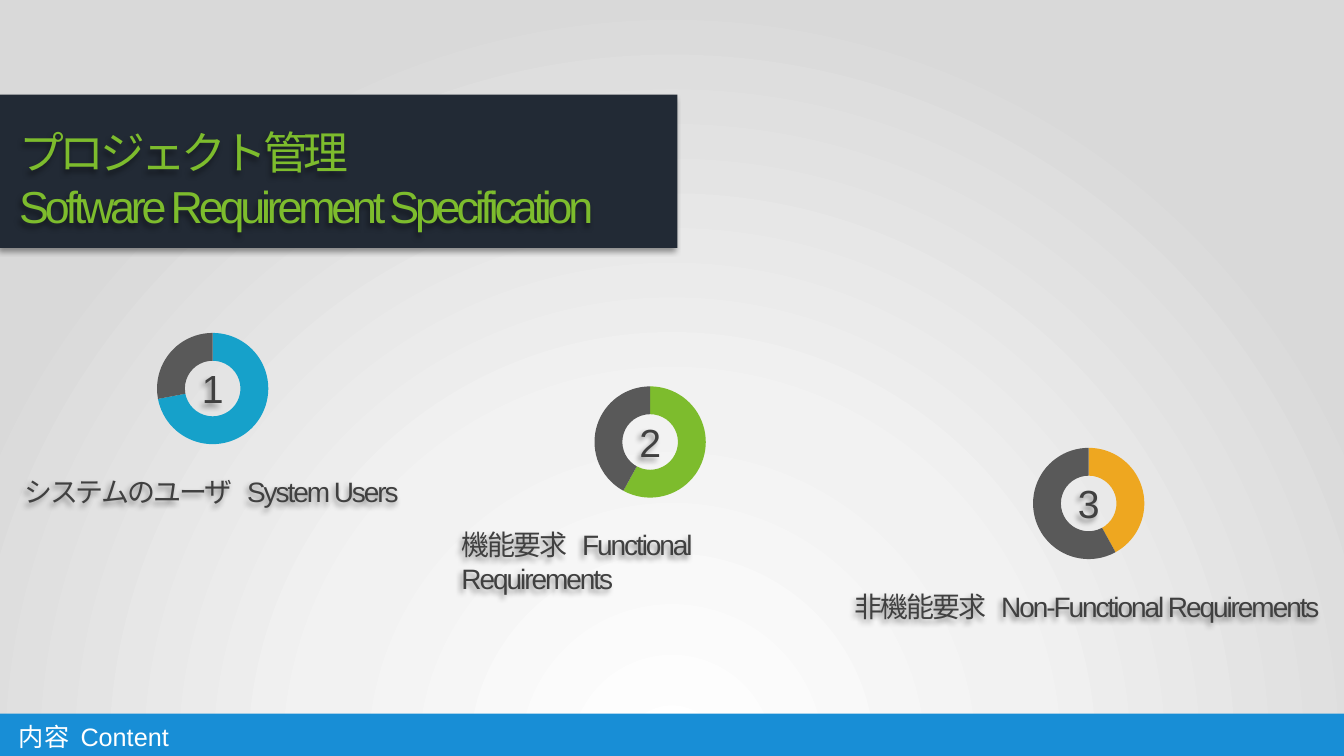
from dataclasses import dataclass
from lxml.etree import SubElement
from pptx import Presentation
from pptx.chart.data import CategoryChartData as ChartData
from pptx.dml.color import RGBColor as Rgb
from pptx.enum.chart import XL_CHART_TYPE as ChartType
from pptx.enum.shapes import MSO_SHAPE as Preset
from pptx.enum.text import MSO_ANCHOR as Anchor, MSO_AUTO_SIZE as AutoSize, PP_ALIGN as Align
from pptx.oxml import parse_xml
from pptx.oxml.ns import nsdecls, qn
from pptx.util import Inches, Pt


@dataclass(frozen=True)
class Theme:
    face: str = "Arial"
    chart_face: str = "Calibri"
    band: str = "222A35"
    bar: str = "188ED6"
    green: str = "7DBC2D"
    blue: str = "16A1CA"
    amber: str = "EEA720"
    rest: str = "595959"
    ink: str = "404040"
    black: str = "000000"
    white: str = "FFFFFF"
    backdrop: tuple = ((0, "FFFFFF"), (46, "F2F2F2"), (100, "D9D9D9"))
    title_size: int = 32
    number_size: int = 28
    label_size: int = 20
    footer_size: int = 18
    chart_size: int = 10


class RequirementSlide:
    """Draws styled elements on one slide, placed on a grid of 100 columns by 100 rows."""

    def __init__(self, deck, theme):
        self.theme = theme
        self.column = deck.slide_width / 100
        self.row = deck.slide_height / 100
        self.slide = deck.slides.add_slide(deck.slide_layouts[5])
        self.shapes = self.slide.shapes

    def place(self, left, top, width, height):
        return (round(left * self.column), round(top * self.row),
                round(width * self.column), round(height * self.row))

    def backdrop(self):
        self.slide.background.fill.solid()
        solid = next(self.slide.element.iter(qn("a:solidFill")))
        stops = "".join(f'<a:gs pos="{share * 1000}"><a:srgbClr val="{color}"/></a:gs>'
                        for share, color in self.theme.backdrop)
        gradient = parse_xml(
            f'<a:gradFill {nsdecls("a")} rotWithShape="1"><a:gsLst>{stops}</a:gsLst>'
            '<a:path path="circle"><a:fillToRect l="50000" t="130000" r="50000" b="-30000"/>'
            '</a:path></a:gradFill>')
        solid.getparent().replace(solid, gradient)

    def cast_shadow(self, shape):
        shape.shadow.inherit = False
        effects = shape.element.spPr.find(qn("a:effectLst"))
        outer = SubElement(effects, qn("a:outerShdw"), blurRad=str(Pt(4)), dist=str(Pt(3)),
                           dir=str(135 * 60000), algn="tl", rotWithShape="0")
        color = SubElement(outer, qn("a:srgbClr"), val=self.theme.black)
        SubElement(color, qn("a:alpha"), val="40000")

    def panel(self, area, color, shadow=False):
        panel = self.shapes.add_shape(Preset.RECTANGLE, *self.place(*area))
        panel.fill.solid()
        panel.fill.fore_color.rgb = Rgb.from_string(color)
        panel.line.fill.background()
        panel.shadow.inherit = False
        if shadow:
            self.cast_shadow(panel)

    def format(self, paragraph, size, color, spacing, align=Align.LEFT):
        paragraph.alignment = align
        font = paragraph.font
        font.size, font.name = Pt(size), self.theme.face
        font.color.rgb = Rgb.from_string(color)
        paragraph._p.pPr.find(qn("a:defRPr")).set("spc", str(round(spacing * 100)))

    def title(self, area, lines):
        title = self.shapes.title
        title.left, title.top, title.width, title.height = self.place(*area)
        self.shapes._spTree.append(title.element)
        frame = title.text_frame
        frame.text = "\n".join(lines)
        frame.word_wrap, frame.auto_size = True, AutoSize.SHAPE_TO_FIT_TEXT
        frame.vertical_anchor = Anchor.TOP
        for line in frame.paragraphs:
            self.format(line, self.theme.title_size, self.theme.green, -3)
        self.cast_shadow(title)

    def text(self, area, words, size, color, spacing=0, gap=0, align=Align.LEFT, shadow=True):
        box = self.shapes.add_textbox(*self.place(*area))
        frame = box.text_frame
        frame.word_wrap, frame.auto_size = True, AutoSize.SHAPE_TO_FIT_TEXT
        line = frame.paragraphs[0]
        for index, word in enumerate(words):
            if index:
                space = line.add_run()
                space.text = " "
                space._r.get_or_add_rPr().set("spc", str(gap * 100))
            line.add_run().text = word
        self.format(line, size, color, spacing, align)
        if shadow:
            self.cast_shadow(box)

    def ring(self, area, share, color):
        data = ChartData()
        data.categories = ["1", "2"]
        data.add_series("Series 1", (share, 100 - share))
        chart = self.shapes.add_chart(ChartType.DOUGHNUT, *self.place(*area), data).chart
        chart.has_title = chart.has_legend = False
        chart.font.size, chart.font.name = Pt(self.theme.chart_size), self.theme.chart_face
        chart.font.color.rgb = Rgb.from_string(self.theme.black)
        plot = chart.plots[0]
        plot.vary_by_categories = True
        plot._element.find(qn("c:holeSize")).set("val", "75")
        for index, part_color in enumerate((color, self.theme.rest)):
            part = plot.series[0].points[index].format
            part.fill.solid()
            part.fill.fore_color.rgb = Rgb.from_string(part_color)
            part.line.fill.background()

    def topic(self, number, left, top, share, color, label_left, label_width, words):
        theme = self.theme
        self.ring((left, top, 10.35, 21.2), share, color)
        self.text((left + 1.7, top + 6.8, 6.95, 7.6), [str(number)],
                  theme.number_size, theme.ink, -1.5, align=Align.CENTER)
        self.text((label_left, top + 21.3, label_width, 5.87), words,
                  theme.label_size, theme.ink, -1.5, gap=6)


def main():
    deck = Presentation()
    deck.slide_width, deck.slide_height = Inches(13.33), Inches(7.5)
    theme = Theme()
    page = RequirementSlide(deck, theme)
    page.backdrop()
    page.panel((0, 12.53, 50.4, 20.27), theme.band, shadow=True)
    page.title((0.67, 15.87, 49.7, 15.73),
               ["プロジェクト管理", "Software Requirement Specification"])
    topics = [
        (10.65, 40.8, 72, theme.blue, 1.05, 29.55, ["システムのユーザ", "System Users"]),
        (43.2, 47.87, 58, theme.green, 33.6, 29.6, ["機能要求", "Functional Requirements"]),
        (75.83, 56, 42, theme.amber, 62.85, 36.3, ["非機能要求", "Non-Functional Requirements"]),
    ]
    for number, topic in enumerate(topics, 1):
        page.topic(number, *topic)
    page.panel((0, 94.4, 100, 5.6), theme.bar)
    page.text((0.67, 94.8, 35.6, 5.2), ["内容", "Content"], theme.footer_size,
              theme.white, gap=4, shadow=False)
    deck.save("out.pptx")


if __name__ == "__main__":
    main()
